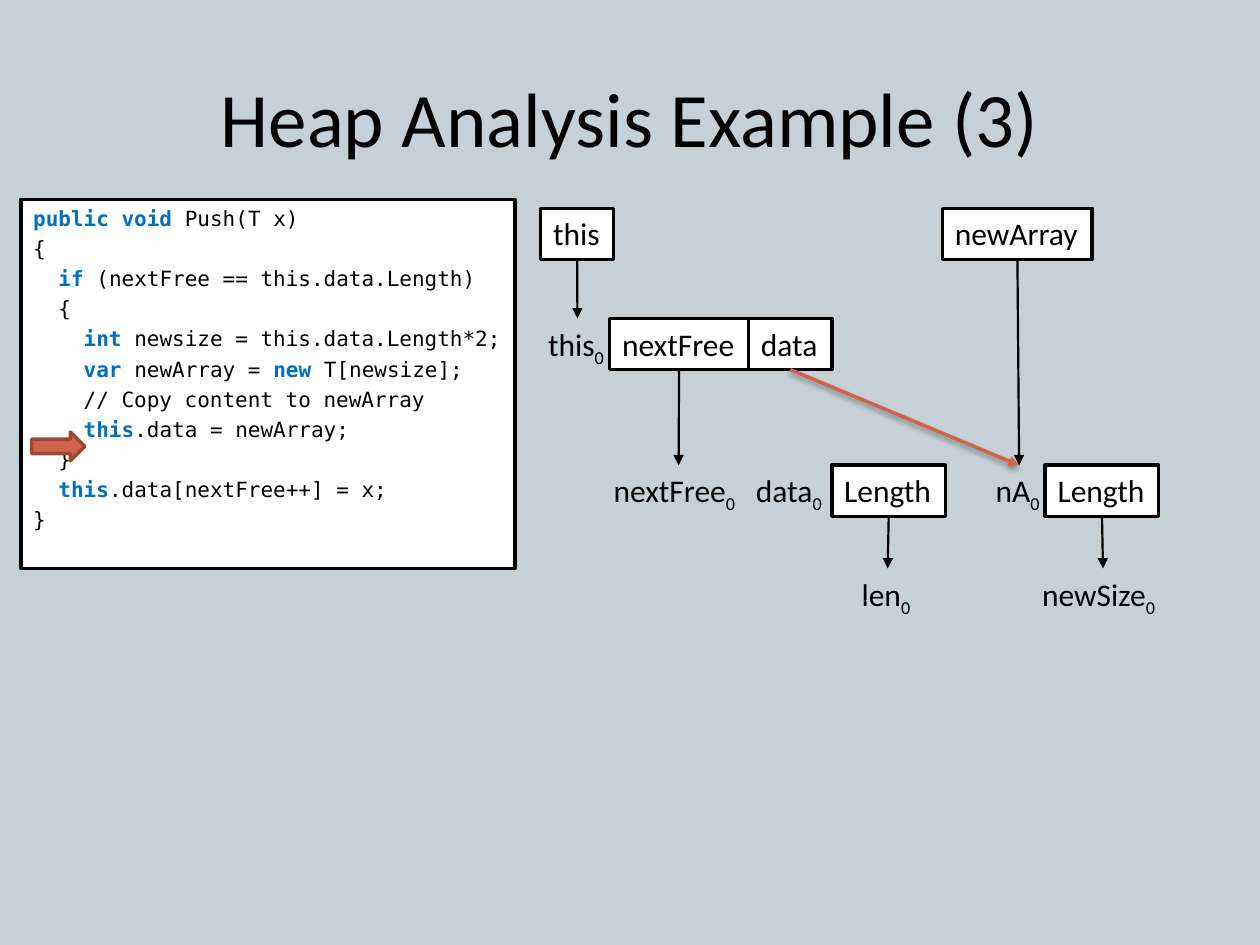
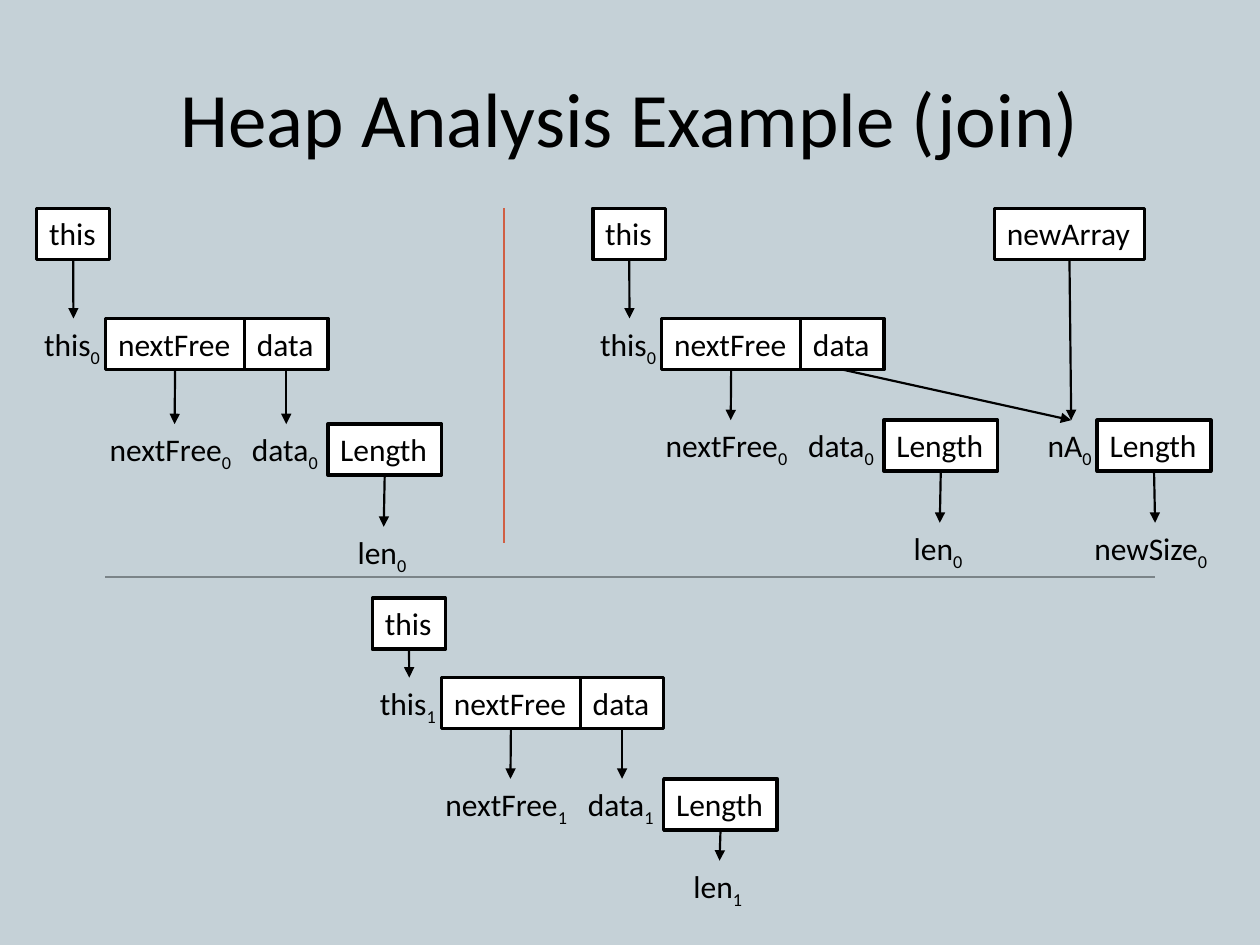
"""Build two heap analysis slides with pointer diagrams."""
import dataclasses
import typing

import lxml.etree
import pptx
import pptx.dml.color
import pptx.enum.shapes
import pptx.enum.text
import pptx.oxml
import pptx.oxml.ns
import pptx.util

Cm = pptx.util.Cm
Pt = pptx.util.Pt
RGB = pptx.dml.color.RGBColor.from_string
Shapes = pptx.enum.shapes.MSO_SHAPE
Align = pptx.enum.text.PP_ALIGN
Anchor = pptx.enum.text.MSO_ANCHOR
qn = pptx.oxml.ns.qn


@dataclasses.dataclass(frozen=True)
class Theme:
    background: str = "C5D1D7"
    ink: str = "000000"
    paper: str = "FFFFFF"
    keyword: str = "0070C0"
    accent: str = "D16349"
    accent_edge: str = "9B4936"
    divider: str = "D05F44"
    rule: str = "7B8488"
    body_font: str = "Calibri"
    code_font: str = "DejaVu Sans Mono"
    title_size: float = 44
    node_size: float = 18
    code_size: float = 12
    code_gap: float = 2.8
    border: float = 2
    pointer: float = 1.25
    hairline: float = 0.75


THEME = Theme()
NODE_HEIGHT = 1.03


class Node(typing.NamedTuple):
    key: str
    text: str
    left: float
    width: float
    row: int
    boxed: bool


class Pointer(typing.NamedTuple):
    source: str
    target: str
    highlighted: bool = False


@dataclasses.dataclass(frozen=True)
class Heap:
    left: float
    rows: tuple[float, float, float, float]
    version: str = "0"
    new_array: bool = False
    highlight_update: bool = False


STACK_NODES = [
    Node("this", "this", 0.1, 1.47, 0, True),
    Node("this object", "this", 0, 1.68, 1, False),
    Node("data", "data", 4.29, 1.68, 1, True),
    Node("nextFree", "nextFree", 1.49, 2.8, 1, True),
    Node("nextFree value", "nextFree", 1.32, 3.12, 2, False),
    Node("data object", "data", 4.19, 1.88, 2, False),
    Node("length", "Length", 5.97, 2.29, 2, True),
    Node("length value", "len", 6.32, 1.55, 3, False),
]
STACK_POINTERS = [
    Pointer("this", "this object"),
    Pointer("nextFree", "nextFree value"),
    Pointer("length", "length value"),
]
NEW_ARRAY_NODES = [
    Node("newArray", "newArray", 8.2, 3.02, 0, True),
    Node("newArray object", "nA", 9.02, 1.45, 2, False),
    Node("new length", "Length", 10.27, 2.29, 2, True),
    Node("new length value", "newSize", 9.96, 2.95, 3, False),
]
NEW_ARRAY_POINTERS = [
    Pointer("newArray", "newArray object"),
    Pointer("new length", "new length value"),
]
PUSH_METHOD = [
    "|public void |Push(T x)",
    "{",
    "  |if |(nextFree == this.data.Length)",
    "  {",
    "    |int |newsize = this.data.Length*2;",
    "    |var |newArray = |new |T[newsize];",
    "    // Copy content to newArray",
    "    |this|.data = newArray;",
    "  }",
    "  |this|.data[nextFree++] = x;",
    "}",
]


def add_run(paragraph, text: str, size: float, font: str = THEME.body_font,
            color: str = THEME.ink, bold: bool = False):
    """Append one styled run."""
    run = paragraph.add_run()
    run.text = text
    run.font.size = Pt(size)
    run.font.name = font
    run.font.bold = bold
    run.font.color.rgb = RGB(color)
    return run


def add_block(slide, kind, left: float, top: float, width: float, height: float,
              fill: str = THEME.paper, edge: str = THEME.ink):
    """Draw a filled, outlined preset shape with text at its top left."""
    block = slide.shapes.add_shape(kind, Cm(left), Cm(top), Cm(width), Cm(height))
    block.shadow.inherit = False
    block.fill.solid()
    block.fill.fore_color.rgb = RGB(fill)
    block.line.color.rgb = RGB(edge)
    block.line.width = Pt(THEME.border)
    block.text_frame.vertical_anchor = Anchor.TOP
    block.text_frame.paragraphs[0].alignment = Align.LEFT
    return block


def add_line(slide, start: tuple[float, float], end: tuple[float, float],
             color: str, width: float):
    """Draw a straight line without a shadow."""
    line = slide.shapes.add_connector(
        pptx.enum.shapes.MSO_CONNECTOR.STRAIGHT, *map(Cm, start + end))
    line.line.color.rgb = RGB(color)
    line.line.width = Pt(width)
    lxml.etree.SubElement(line._element.spPr, qn("a:effectLst"))
    return line


def add_pointer(slide, source, target, highlighted: bool) -> None:
    """Join a field's bottom to a value's top with an arrow."""
    color, width = ((THEME.accent, THEME.border) if highlighted
                    else (THEME.ink, THEME.pointer))
    arrow = add_line(slide, (0, 0), (0, 0), color, width)
    arrow.begin_connect(source, 2)
    arrow.end_connect(target, 0)
    properties = arrow._element.spPr
    lxml.etree.SubElement(properties.find(qn("a:ln")), qn("a:tailEnd"), type="triangle")
    if highlighted:
        shadow = lxml.etree.SubElement(
            properties.find(qn("a:effectLst")), qn("a:outerShdw"),
            blurRad="40000", dist="20000", dir="5400000", rotWithShape="0")
        tint = lxml.etree.SubElement(shadow, qn("a:srgbClr"), val=THEME.ink)
        lxml.etree.SubElement(tint, qn("a:alpha"), val="38000")


def add_node(slide, node: Node, heap: Heap):
    """Draw a field box, or a value label with its version as subscript."""
    place = (heap.left + node.left, heap.rows[node.row], node.width, NODE_HEIGHT)
    if node.boxed:
        shape = add_block(slide, Shapes.RECTANGLE, *place)
    else:
        shape = slide.shapes.add_textbox(*map(Cm, place))
    frame = shape.text_frame
    frame.word_wrap = False
    frame.auto_size = pptx.enum.text.MSO_AUTO_SIZE.SHAPE_TO_FIT_TEXT
    add_run(frame.paragraphs[0], node.text, THEME.node_size)
    if not node.boxed:
        version = add_run(frame.paragraphs[0], heap.version, THEME.node_size)
        version.font._element.set("baseline", "-25000")
    return shape


def add_heap(slide, heap: Heap) -> None:
    """Draw one heap state with its nodes and pointers."""
    nodes = STACK_NODES + (NEW_ARRAY_NODES if heap.new_array else [])
    pointers = STACK_POINTERS + (NEW_ARRAY_POINTERS if heap.new_array else [])
    data_target = "newArray object" if heap.new_array else "data object"
    shapes = {node.key: add_node(slide, node, heap) for node in nodes}
    for pointer in [*pointers, Pointer("data", data_target, heap.highlight_update)]:
        add_pointer(slide, shapes[pointer.source], shapes[pointer.target],
                    pointer.highlighted)


def add_code(slide, lines: list[str]) -> None:
    """Draw the code listing, colouring the keywords between bars."""
    listing = add_block(slide, Shapes.RECTANGLE, 0.42, 4.02, 9.96, 7.44)
    frame = listing.text_frame
    frame.word_wrap = True
    frame.margin_right = 0
    for number, line in enumerate(lines):
        paragraph = frame.add_paragraph() if number else frame.paragraphs[0]
        paragraph.alignment = Align.LEFT
        if number:
            paragraph.space_before = Pt(THEME.code_gap)
        for position, part in enumerate(line.split("|")):
            is_keyword = position % 2 == 1
            if part:
                add_run(paragraph, part, THEME.code_size, THEME.code_font,
                        THEME.keyword if is_keyword else THEME.ink, is_keyword)


def add_slide(deck, heading: str):
    """Add a blank slide with the shared background and title."""
    slide = deck.slides.add_slide(deck.slide_layouts[6])
    slide.background.fill.solid()
    slide.background.fill.fore_color.rgb = RGB(THEME.background)
    title = slide.shapes.add_textbox(Cm(1.27), Cm(0.76), Cm(22.86), Cm(3.18))
    title.text_frame.word_wrap = True
    title.text_frame.vertical_anchor = Anchor.MIDDLE
    title.text_frame.paragraphs[0].alignment = Align.CENTER
    add_run(title.text_frame.paragraphs[0], heading, THEME.title_size)
    return slide


def build_update_slide(deck) -> None:
    """Show the code beside the heap after the array is replaced."""
    slide = add_slide(deck, "Heap Analysis Example (3)")
    add_code(slide, PUSH_METHOD)
    add_heap(slide, Heap(10.8, (4.2, 6.42, 9.38, 11.46),
                         new_array=True, highlight_update=True))
    add_block(slide, Shapes.RIGHT_ARROW, 0.64, 8.71, 1.07, 0.58,
              THEME.accent, THEME.accent_edge)


def build_join_slide(deck) -> None:
    """Show two heap states and the state that joins them."""
    slide = add_slide(deck, "Heap Analysis Example (join)")
    add_heap(slide, Heap(11.85, (4.2, 6.42, 8.47, 10.54), new_array=True))
    add_heap(slide, Heap(0.64, (4.2, 6.42, 8.55, 10.62)))
    add_line(slide, (10.16, 4.2), (10.16, 10.95), THEME.divider, THEME.hairline)
    add_line(slide, (2.12, 11.63), (23.28, 11.63), THEME.rule, THEME.hairline)
    add_heap(slide, Heap(7.41, (12.06, 13.66, 15.7, 17.35), version="1"))


def main() -> None:
    """Build and save the deck."""
    deck = pptx.Presentation()
    deck.slide_width, deck.slide_height = Cm(25.4), Cm(19.05)
    build_update_slide(deck)
    build_join_slide(deck)
    deck.save("out.pptx")


if __name__ == "__main__":
    main()
